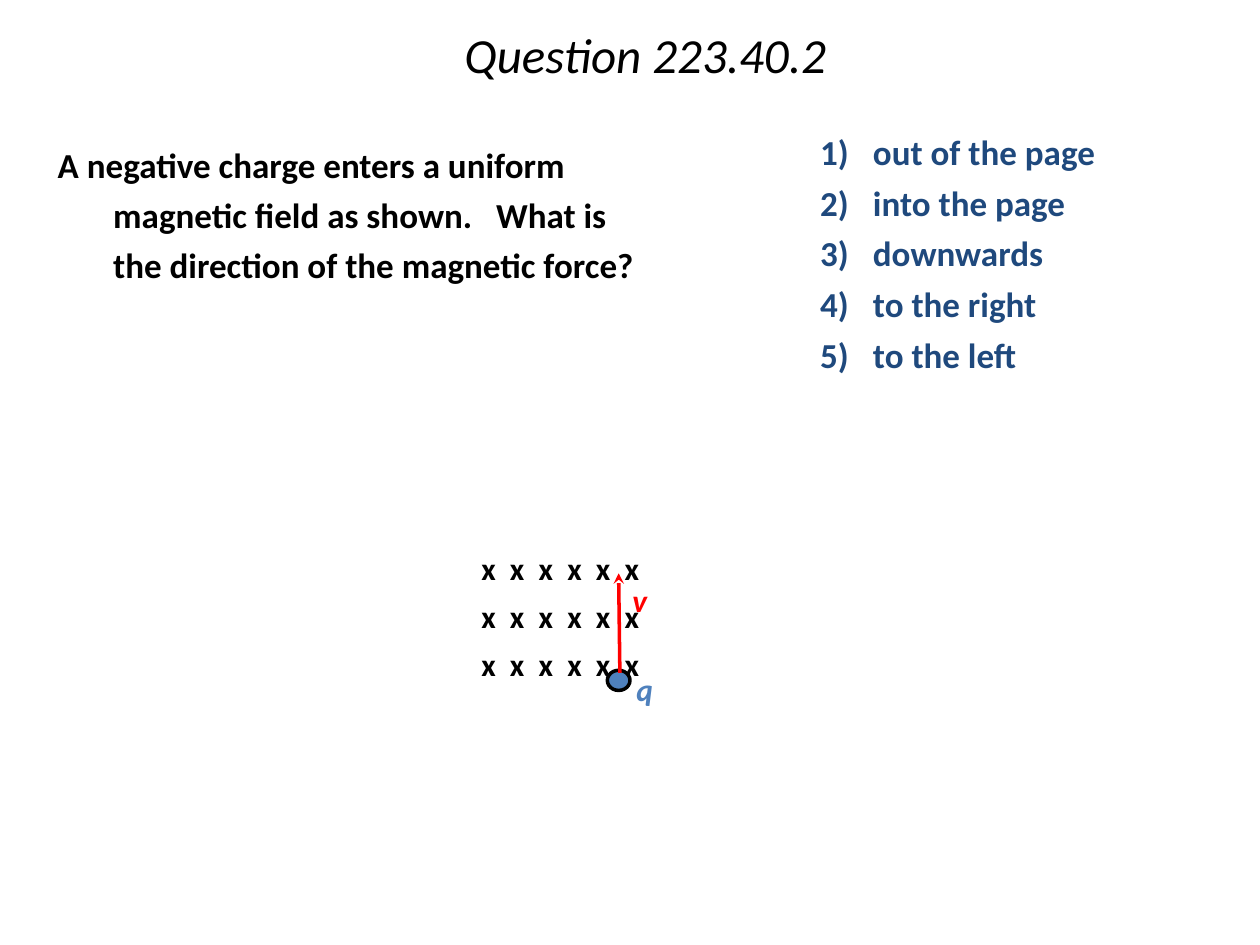
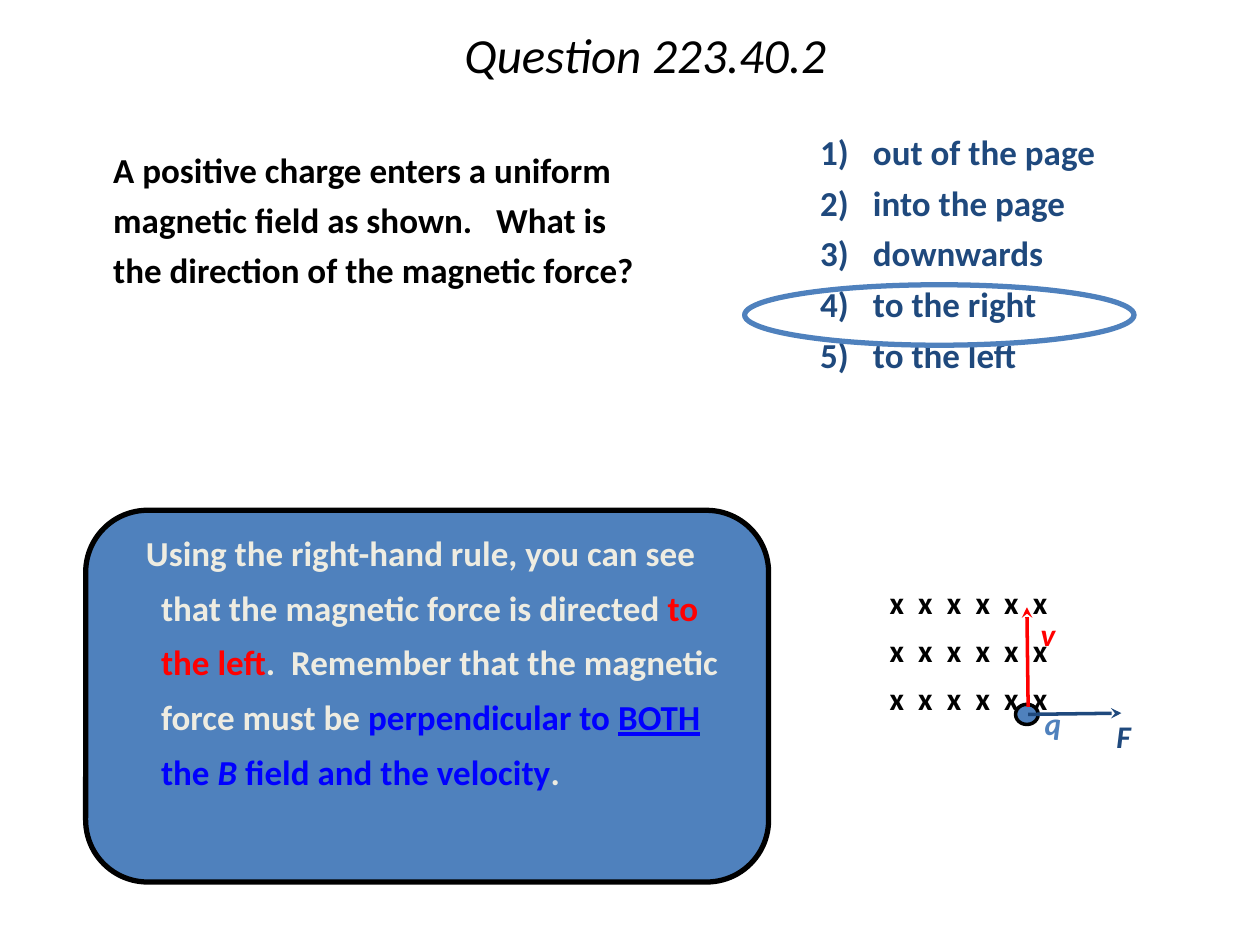
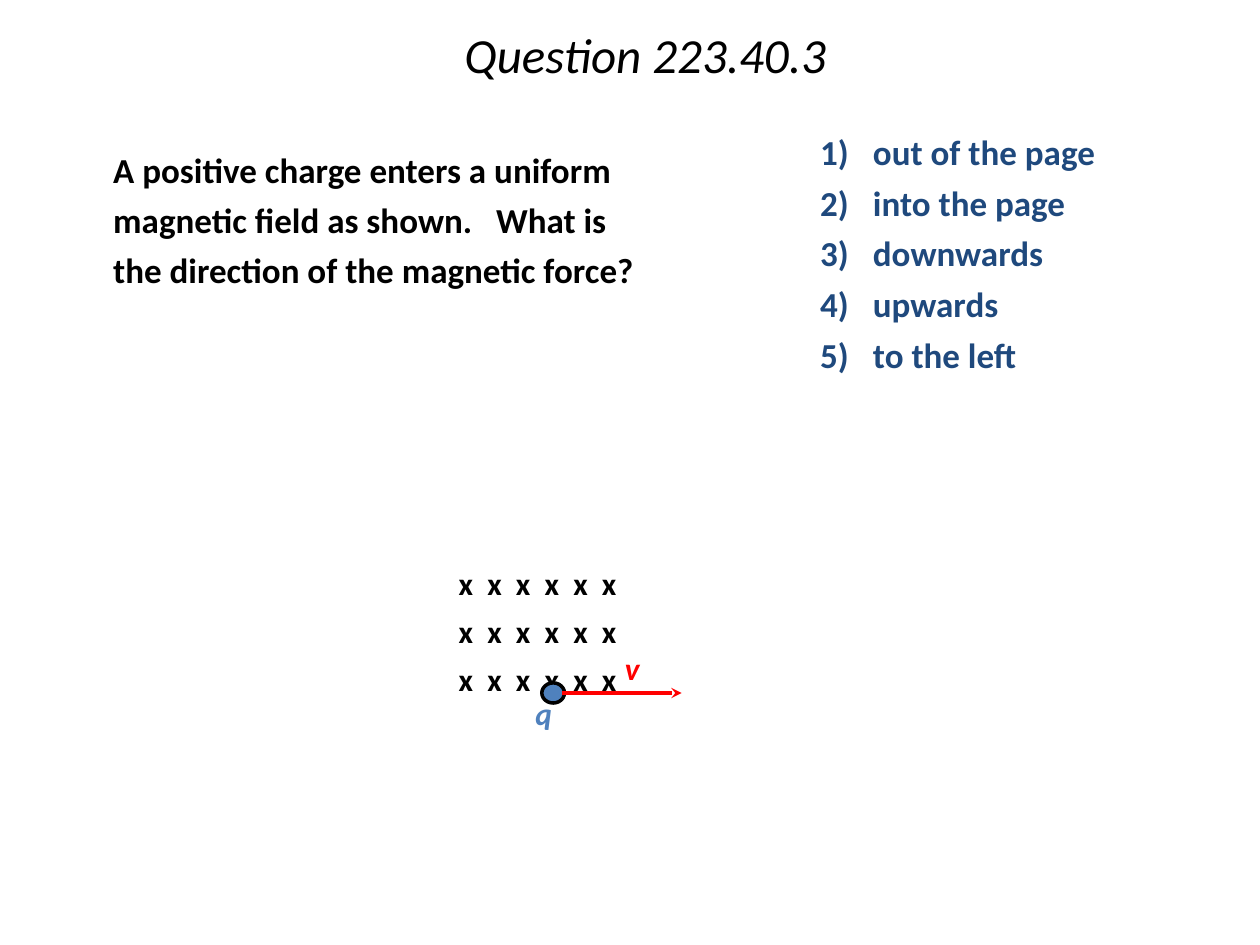
"""Build three question slides on the magnetic force on a moving charge."""
from dataclasses import dataclass

from lxml.etree import SubElement
from pptx import Presentation
from pptx.dml.color import RGBColor
from pptx.enum.shapes import MSO_CONNECTOR, MSO_SHAPE
from pptx.enum.text import MSO_ANCHOR, PP_ALIGN
from pptx.oxml.ns import qn
from pptx.util import Emu, Pt

PX = 9144


@dataclass(frozen=True)
class Theme:
    font: str = "Calibri"
    black: str = "000000"
    navy: str = "1F497D"
    blue: str = "4F81BD"
    red: str = "FF0000"
    cream: str = "EEECE1"
    bright: str = "0000FF"
    title_size: int = 28
    body_size: int = 20
    label_size: int = 18
    thin: int = 2
    thick: int = 3


theme = Theme()


def add_text(page, frame, paragraphs, size, spacing, margin=0, indent=0, before=0,
             inset=(10, 5), align=PP_ALIGN.LEFT, anchor=MSO_ANCHOR.TOP):
    box = page.shapes.add_textbox(*[Emu(value * PX) for value in frame])
    text = box.text_frame
    text.word_wrap = True
    text.vertical_anchor = anchor
    text.margin_left = text.margin_right = Emu(inset[0] * PX)
    text.margin_top = text.margin_bottom = Emu(inset[1] * PX)
    for number, spans in enumerate(paragraphs):
        para = text.add_paragraph() if number else text.paragraphs[0]
        para.alignment = align
        para.line_spacing = spacing
        if number:
            para.space_before = Pt(before)
        properties = para._p.get_or_add_pPr()
        properties.set("marL", str(margin * PX))
        properties.set("indent", str(indent * PX))
        for words, color, marks in spans:
            span = para.add_run()
            span.text = words
            span.font.name = theme.font
            span.font.size = Pt(size)
            span.font.color.rgb = RGBColor.from_string(color)
            span.font.bold = "b" in marks
            span.font.italic = "i" in marks
            span.font.underline = "u" in marks


def add_arrow(page, start, end, color):
    points = [Emu(value * PX) for value in (*start, *end)]
    arrow = page.shapes.add_connector(MSO_CONNECTOR.STRAIGHT, *points)
    arrow.line.color.rgb = RGBColor.from_string(color)
    arrow.line.width = Pt(theme.thin)
    SubElement(arrow.line._get_or_add_ln(), qn("a:tailEnd"), type="stealth")
    SubElement(arrow._element.spPr, qn("a:effectLst"))


upward = {
    "charge": (116, 104),
    "arrows": [((117, 98), (116, 19), theme.red)],
    "labels": [("v", (120, 26), theme.red), ("q", (123, 97), theme.blue)],
}
upward_with_force = {
    "charge": upward["charge"],
    "arrows": upward["arrows"] + [((117, 104), (191, 103), theme.navy)],
    "labels": upward["labels"] + [("F", (180, 107), theme.navy)],
}
rightward = {
    "charge": (82, 102),
    "arrows": [((89, 102), (184, 102), theme.red)],
    "labels": [("v", (132, 68), theme.red), ("q", (61, 104), theme.blue)],
}
questions = [
    ("223.40.2", "negative", "to the right", (375, 436), upward),
    ("223.40.2", "positive", "to the right", (699, 463), upward_with_force),
    ("223.40.3", "positive", "upwards", (357, 448), rightward),
]
explanation = [
    ("Using the right-hand rule, you can see that the magnetic force is directed ", theme.cream, "b"),
    ("to the left", theme.red, "b"),
    (".  Remember that the magnetic force must be ", theme.cream, "b"),
    ("perpendicular to ", theme.bright, "b"),
    ("BOTH", theme.bright, "bu"),
    (" the ", theme.bright, "b"),
    ("B", theme.bright, "bi"),
    (" field and the velocity", theme.bright, "b"),
    (".", theme.cream, "b"),
]

deck = Presentation()
deck.slide_width, deck.slide_height = Emu(1000 * PX), Emu(750 * PX)

for number, (code, sign, fourth, (left, top), diagram) in enumerate(questions):
    page = deck.slides.add_slide(deck.slide_layouts[6])
    solved = number == 1
    charge_x, charge_y = diagram["charge"]
    outlines = [(MSO_SHAPE.OVAL, (left + charge_x - 9, top + charge_y - 8, 18, 16),
                 theme.blue, theme.black, theme.thin)]
    if solved:
        outlines += [
            (MSO_SHAPE.ROUNDED_RECTANGLE, (68, 405, 542, 295), theme.blue, theme.black, theme.thick),
            (MSO_SHAPE.OVAL, (591, 226, 309, 48), None, theme.blue, theme.thick),
        ]

    add_text(page, (72, 0, 880, 92), [[(f"Question {code}", theme.black, "i")]],
             theme.title_size, 0.9, align=PP_ALIGN.CENTER, anchor=MSO_ANCHOR.MIDDLE)

    answers = ["out of the page", "into the page", "downwards", fourth, "to the left"]
    add_text(page, (641, 105, 359, 210),
             [[(f"{rank})\t{answer}", theme.navy, "b")] for rank, answer in enumerate(answers, 1)],
             theme.body_size, 0.8, margin=42, indent=-42, before=9.75)

    prompt = (f"A {sign} charge enters a uniform magnetic field as shown.   "
              "What is the direction of the magnetic force?")
    hanging = sign == "negative"
    add_text(page, (36, 102 if hanging else 106, 482, 205), [[(prompt, theme.black, "b")]],
             theme.body_size, 1.2, margin=44, indent=-44 if hanging else 0)

    field_row = [("  ".join("x" * 6), theme.black, "b")]
    add_text(page, (left, top, 241, 149), [field_row] * 3, theme.label_size, 0.9,
             margin=38, indent=-38, before=7.9, inset=(7, 3))

    for kind, frame, fill, line, width in outlines:
        shape = page.shapes.add_shape(kind, *[Emu(value * PX) for value in frame])
        shape.shadow.inherit = False
        if fill:
            shape.fill.solid()
            shape.fill.fore_color.rgb = RGBColor.from_string(fill)
        else:
            shape.fill.background()
        shape.line.color.rgb = RGBColor.from_string(line)
        shape.line.width = Pt(width)

    if solved:
        add_text(page, (87, 407, 501, 270), [explanation], theme.body_size, 1.3,
                 margin=31, indent=-12)

    for (start_x, start_y), (end_x, end_y), color in diagram["arrows"]:
        add_arrow(page, (left + start_x, top + start_y), (left + end_x, top + end_y), color)
    for letter, (label_x, label_y), color in diagram["labels"]:
        add_text(page, (left + label_x, top + label_y, 34, 40), [[(letter, color, "bi")]],
                 theme.label_size, 0.87, inset=(7, 3))

deck.save("out.pptx")
